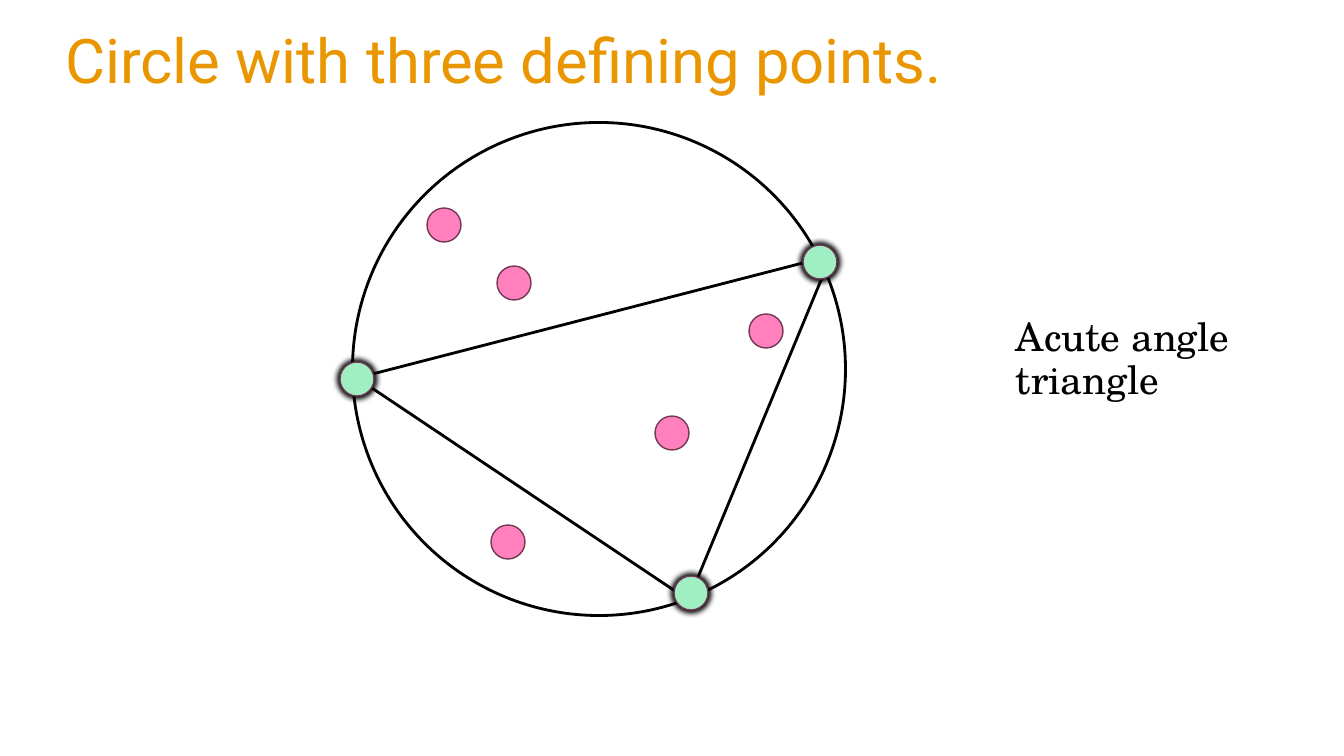
from lxml.etree import SubElement
from pptx import Presentation
from pptx.dml.color import RGBColor
from pptx.enum.shapes import MSO_CONNECTOR, MSO_SHAPE
from pptx.enum.text import MSO_ANCHOR, MSO_AUTO_SIZE, PP_ALIGN
from pptx.oxml.ns import qn
from pptx.util import Pt

PX = 914400 / 100.8
SLIDE_SIZE = (1344, 756)
TITLE = ("Circle with three defining points.", (55, -9, 1159, 146), "Roboto", 44, "EA9600")
LABEL = ("Acute angle triangle", (1006, 313, 262, 212), "TeX Gyre Schola", 28, "000000")
BLACK, PINK, GREEN, OUTLINE = "000000", "FF80BD", "9FEFC3", "703853"
CIRCLE_CENTER, CIRCLE_DIAMETER = (599, 369), 493
POINT_DIAMETER = 34
INNER_POINTS = [(508, 542), (672, 433), (514, 283), (766, 331), (444, 225)]
DEFINING_POINTS = [(820, 262), (357, 379), (691, 593)]
TRIANGLE_SIDES = [
    ((357, 378), (830, 256)),
    ((689, 599), (829, 261)),
    ((357, 378), (687, 599)),
]


def emu(length):
    return round(length * PX)


def color(value):
    return RGBColor.from_string(value)


def write_text(shape, content, font_name, size, font_color):
    frame = shape.text_frame
    frame.word_wrap = True
    frame.auto_size = MSO_AUTO_SIZE.NONE
    paragraph = frame.paragraphs[0]
    paragraph.alignment = PP_ALIGN.LEFT
    paragraph.line_spacing = 0.9
    run = paragraph.add_run()
    run.text = content
    run.font.name = font_name
    run.font.size = Pt(size)
    run.font.color.rgb = color(font_color)
    return paragraph


def add_circle(slide, center, diameter, fill, outline, width):
    left, top = (emu(middle - diameter / 2) for middle in center)
    shape = slide.shapes.add_shape(MSO_SHAPE.OVAL, left, top, emu(diameter), emu(diameter))
    shape.shadow.inherit = False
    if fill:
        shape.fill.solid()
        shape.fill.fore_color.rgb = color(fill)
    else:
        shape.fill.background()
    shape.line.color.rgb = color(outline)
    shape.line.width = Pt(width)
    return shape


def add_glow_shadow(shape):
    effects = shape._element.spPr.find(qn("a:effectLst"))
    shadow = SubElement(effects, qn("a:outerShdw"), blurRad=str(Pt(4)), dist="0",
                        dir="0", sx="114000", sy="114000", algn="ctr", rotWithShape="0")
    SubElement(shadow, qn("a:srgbClr"), val=BLACK)


def add_side(slide, start, end):
    connector = slide.shapes.add_connector(
        MSO_CONNECTOR.STRAIGHT, *(emu(value) for value in start + end))
    connector.line.color.rgb = color(BLACK)
    connector.line.width = Pt(2)
    SubElement(connector._element.spPr, qn("a:effectLst"))


def main():
    presentation = Presentation()
    presentation.slide_width, presentation.slide_height = map(emu, SLIDE_SIZE)
    slide = presentation.slides.add_slide(presentation.slide_layouts[5])

    content, box, *style = TITLE
    title = slide.shapes.title
    title.left, title.top, title.width, title.height = map(emu, box)
    title.text_frame.vertical_anchor = MSO_ANCHOR.MIDDLE
    write_text(title, content, *style)

    content, box, *style = LABEL
    label = slide.shapes.add_textbox(*map(emu, box))
    write_text(label, content, *style).space_before = Pt(10)

    for center in INNER_POINTS:
        add_circle(slide, center, POINT_DIAMETER, PINK, OUTLINE, 1)
    add_circle(slide, CIRCLE_CENTER, CIRCLE_DIAMETER, None, BLACK, 2)
    for start, end in TRIANGLE_SIDES:
        add_side(slide, start, end)
    for center in DEFINING_POINTS:
        add_glow_shadow(add_circle(slide, center, POINT_DIAMETER, GREEN, OUTLINE, 1))

    presentation.save("out.pptx")


if __name__ == "__main__":
    main()
